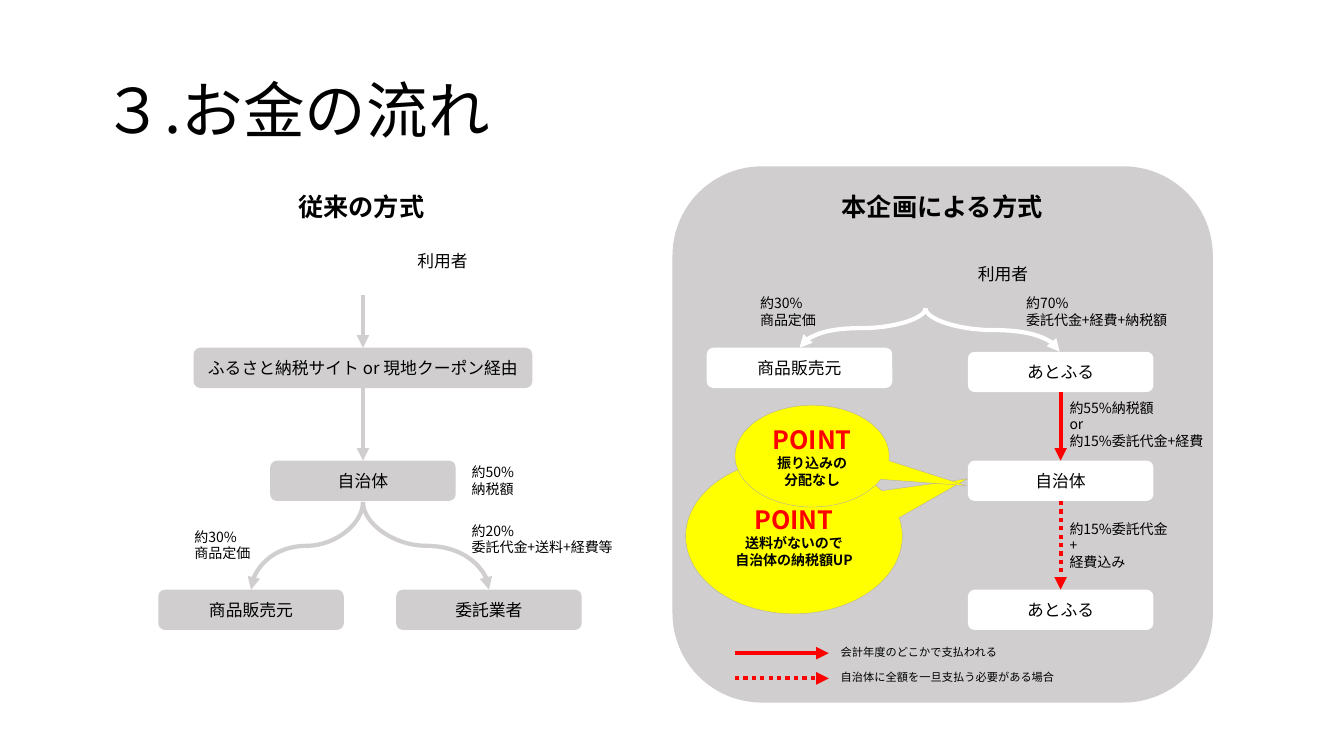
from dataclasses import dataclass
from typing import Any

from lxml.etree import SubElement
from pptx import Presentation
from pptx.dml.color import RGBColor
from pptx.enum.dml import MSO_LINE
from pptx.enum.shapes import MSO_CONNECTOR, MSO_SHAPE
from pptx.enum.text import MSO_ANCHOR, MSO_AUTO_SIZE, PP_ALIGN
from pptx.oxml.ns import qn
from pptx.util import Pt

EMU_PER_PX = 9144  # 100 px to the inch
FONT = "Noto Sans CJK JP"
BLACK = RGBColor(0x00, 0x00, 0x00)
WHITE = RGBColor(0xFF, 0xFF, 0xFF)
GREY = RGBColor(0xD0, 0xCE, 0xCE)
OUTLINE = RGBColor(0xAF, 0xAB, 0xAB)
RED = RGBColor(0xFF, 0x00, 0x00)
YELLOW = RGBColor(0xFF, 0xFF, 0x00)
NODE_WIDTH, NODE_HEIGHT = 184, 40
TOP, BOTTOM = 0, 2


def px(*lengths):
    return [round(length * EMU_PER_PX) for length in lengths]


def write(frame, lines, size, bold=False, color=BLACK, align=PP_ALIGN.LEFT):
    """Fill a text frame, one paragraph a line."""
    for index, line in enumerate(lines):
        paragraph = frame.paragraphs[0] if index == 0 else frame.add_paragraph()
        paragraph.alignment = align
        add_run(paragraph, line, size, bold, color)


def add_run(paragraph, words, size, bold, color):
    run = paragraph.add_run()
    run.text = words
    run.font.color.rgb = color
    for name, value in {"size": Pt(size), "bold": bold, "name": FONT}.items():
        setattr(run.font, name, value)
    SubElement(run._r.get_or_add_rPr(), qn("a:ea")).set("typeface", FONT)


@dataclass
class Region:
    """An area of the slide; every position is relative to its corner."""
    shapes: Any
    left: int
    top: int
    width: int
    height: int

    def place(self, x, y, width, height):
        return px(self.left + x, self.top + y, width, height)

    def filled(self, preset, box, fill):
        shape = self.shapes.add_shape(preset, *self.place(*box))
        shape.shadow.inherit = False
        shape.fill.solid()
        shape.fill.fore_color.rgb = fill
        shape.line.fill.background()
        shape.text_frame.word_wrap = True
        shape.text_frame.vertical_anchor = MSO_ANCHOR.MIDDLE
        return shape

    def node(self, words, x, y, fill, width=NODE_WIDTH):
        node = self.filled(MSO_SHAPE.ROUNDED_RECTANGLE, (x, y, width, NODE_HEIGHT), fill)
        write(node.text_frame, [words], 12, align=PP_ALIGN.CENTER)
        return node

    def label(self, lines, box, size=10, bold=False, wrap=True):
        frame = self.shapes.add_textbox(*self.place(*box)).text_frame
        frame.word_wrap = wrap
        frame.auto_size = MSO_AUTO_SIZE.SHAPE_TO_FIT_TEXT
        write(frame, lines, size, bold)

    def callout(self, lines, box, tip):
        bubble = self.filled(MSO_SHAPE.OVAL_CALLOUT, box, YELLOW)
        bubble.line.color.rgb = OUTLINE
        bubble.line.width = Pt(0.25)
        for index, value in enumerate(tip):
            bubble.adjustments[index] = value
        write(bubble.text_frame, ["POINT"], 18, True, RED, PP_ALIGN.CENTER)
        for line in lines:
            paragraph = bubble.text_frame.add_paragraph()
            paragraph.alignment = PP_ALIGN.CENTER
            add_run(paragraph, line, 10, True, BLACK)

    def arrow(self, start, end, color, dotted=False, kind=MSO_CONNECTOR.STRAIGHT):
        arrow = self.shapes.add_connector(kind, *self.place(*start, 0, 0)[:2],
                                          *self.place(*end, 0, 0)[:2])
        arrow.line.color.rgb = color
        arrow.line.width = Pt(3)
        if dotted:
            arrow.line.dash_style = MSO_LINE.ROUND_DOT
        properties = arrow._element.spPr
        SubElement(properties.find(qn("a:ln")), qn("a:tailEnd")).set("type", "triangle")
        SubElement(properties, qn("a:effectLst"))
        return arrow

    def link(self, upper, lower, color, dotted=False):
        arrow = self.arrow((0, 0), (0, 1), color, dotted)
        arrow.begin_connect(upper, BOTTOM)
        arrow.end_connect(lower, TOP)

    def branch(self, start, end, color):
        """Curve that leaves and arrives vertically: a turned S-curve."""
        (x1, y1), (x2, y2) = start, end
        middle_x, middle_y = (x1 + x2) / 2, (y1 + y2) / 2
        half_run, half_drop = abs(x2 - x1) / 2, (y2 - y1) / 2
        curve = self.arrow((middle_x - half_drop, middle_y - half_run),
                           (middle_x + half_drop, middle_y + half_run),
                           color, kind=MSO_CONNECTOR.CURVE)
        frame = curve._element.spPr.find(qn("a:xfrm"))
        frame.set("rot", str((90 if x2 < x1 else 270) * 60000))
        if x2 > x1:
            frame.set("flipH", "1")


def add_title(slide, box):
    title = slide.shapes.title
    for name, value in zip(("left", "top", "width", "height"), px(*box)):
        setattr(title, name, value)
    frame = title.text_frame
    frame.auto_size = MSO_AUTO_SIZE.NONE
    frame.vertical_anchor = MSO_ANCHOR.MIDDLE
    write(frame, ["３.お金の流れ"], 44)
    frame.paragraphs[0].line_spacing = 0.9


def add_conventional_flow(region):
    region.label(["従来の方式"], (129, 20, 146, 40), 18, True, wrap=False)
    region.label(["利用者"], (247, 79, 71, 30), 12, wrap=False)
    site = region.node("ふるさと納税サイト or 現地クーポン経由", 35, 180, GREY, width=336)
    municipality = region.node("自治体", 111, 292, GREY)
    region.node("商品販売元", 0, 420, GREY)
    region.node("委託業者", 236, 420, GREY)

    # Payments
    region.arrow((203, 128), (203, 180), GREY).end_connect(site, TOP)
    region.link(site, municipality, GREY)
    for target in (92, 328):
        region.branch((203, 333), (target, 420), GREY)

    # Shares
    for lines, box in (
        (["約50%", "納税額"], (301, 290, 78, 44)),
        (["約20%", "委託代金+送料+経費等"], (301, 348, 170, 44)),
        (["約30%", "商品定価"], (26, 354, 82, 44)),
    ):
        region.label(lines, box)


def add_proposed_flow(region):
    region.filled(MSO_SHAPE.ROUNDED_RECTANGLE, (0, 0, region.width, region.height), GREY)
    region.label(["本企画による方式"], (158, 20, 222, 40), 18, True, wrap=False)
    region.label(["利用者"], (293, 92, 71, 30), 12, wrap=False)
    region.node("商品販売元", 34, 180, WHITE)
    agent, municipality, payee = [
        region.node(words, 293, y, WHITE)
        for words, y in (("あとふる", 184), ("自治体", 292), ("あとふる", 420))
    ]

    # Payments
    for target in ((126, 180), (384, 184)):
        region.branch((251, 141), target, WHITE)
    region.link(agent, municipality, RED)
    region.link(municipality, payee, RED, dotted=True)

    # Shares
    for lines, box in (
        (["約70%", "委託代金+経費+納税額"], (341, 122, 170, 44)),
        (["約30%", "商品定価"], (77, 122, 82, 44)),
        (["約55%納税額", "or", "約15%委託代金+経費"], (384, 226, 170, 61)),
        (["約15%委託代金", "+", "経費込み"], (384, 346, 170, 61)),
    ):
        region.label(lines, box)

    # Points
    region.callout(["送料がないので", "自治体の納税額UP"], (13, 290, 215, 154), (0.8, -0.37))
    region.callout(["振り込みの", "分配なし"], (62, 237, 153, 101), (1, 0.29))

    # Legend
    for words, y, width, dotted in (
        ("会計年度のどこかで支払われる", 483, 247, False),
        ("自治体に全額を一旦支払う必要がある場合", 508, 307, True),
    ):
        region.arrow((62, y), (155, y), RED, dotted)
        region.label([words], (157, y - 13, width, 24), 8)


def main():
    presentation = Presentation()
    presentation.slide_width, presentation.slide_height = px(1333, 750)
    slide = presentation.slides.add_slide(presentation.slide_layouts[5])
    add_title(slide, (92, 40, 1150, 145))
    add_conventional_flow(Region(slide.shapes, 157, 165, 480, 532))
    add_proposed_flow(Region(slide.shapes, 667, 165, 536, 532))
    presentation.save("out.pptx")


if __name__ == "__main__":
    main()
